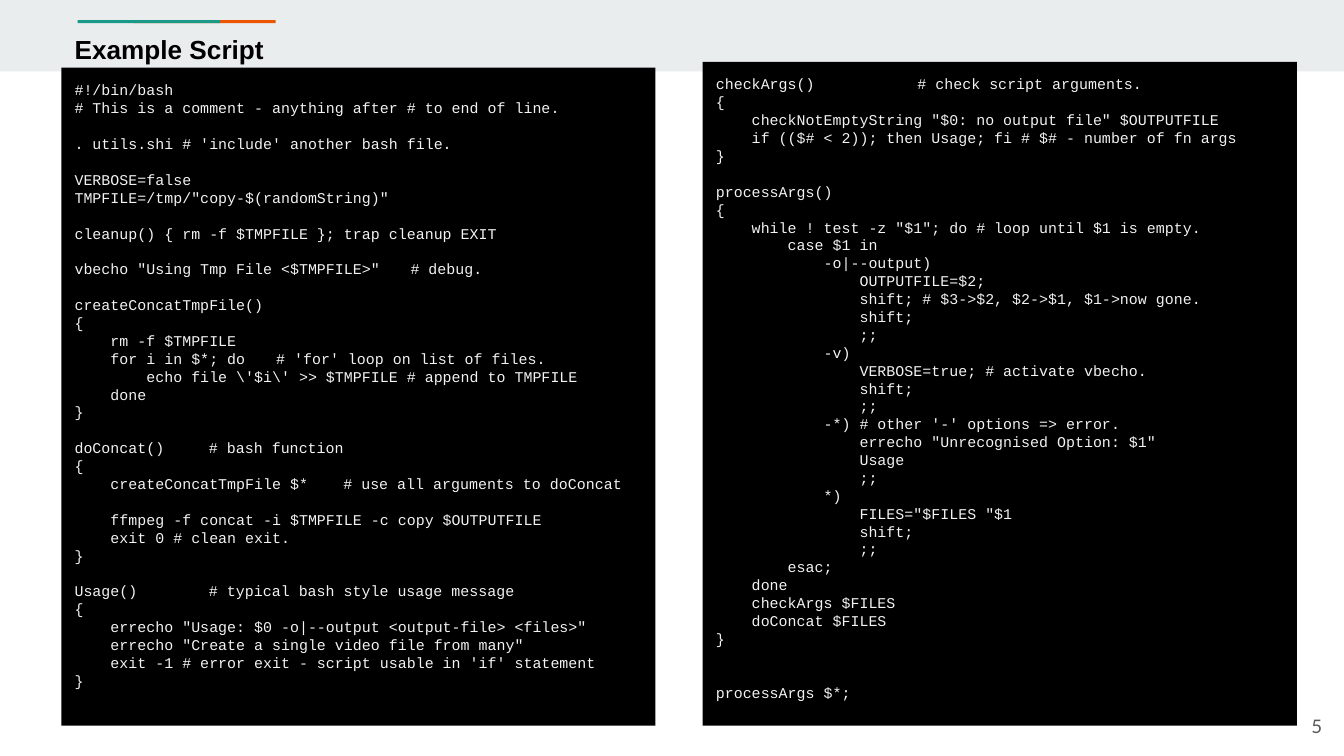
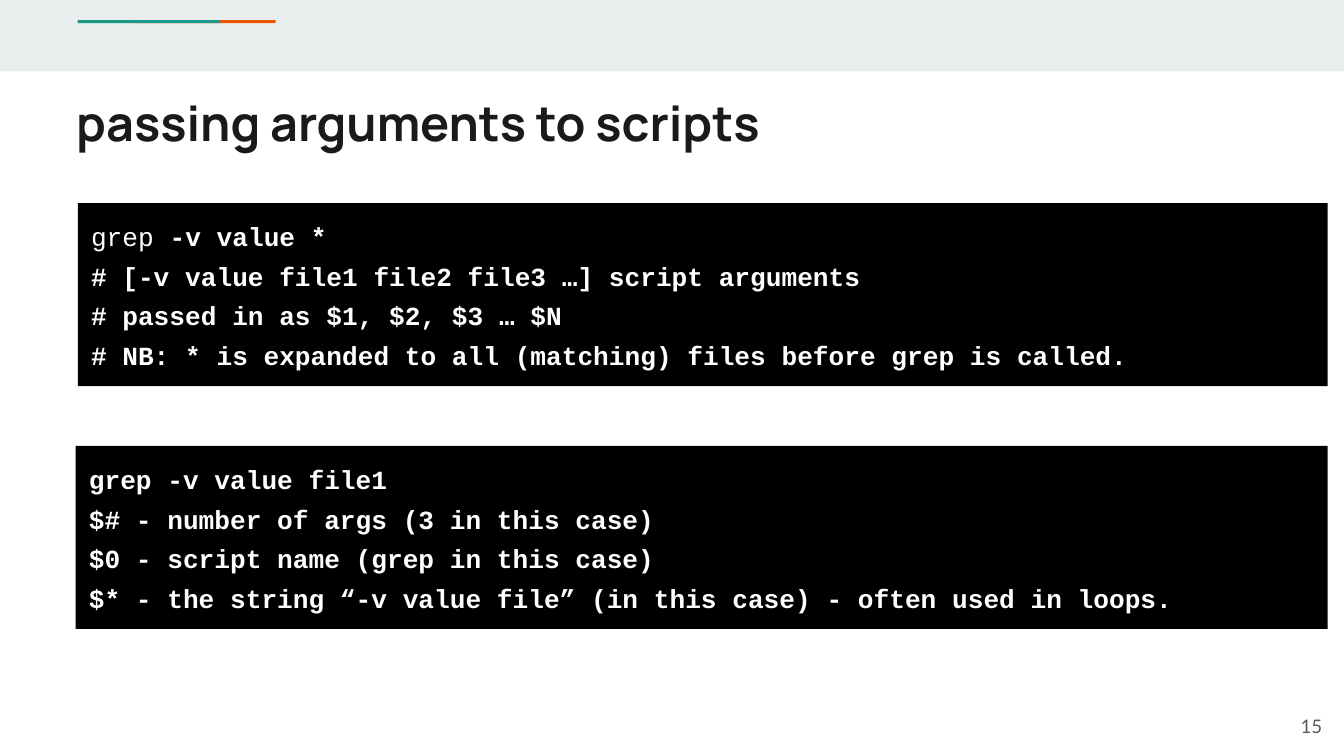
"""Build two slides on shell scripts: an example script and its arguments."""
from lxml import etree
from pptx import Presentation
from pptx.dml.color import RGBColor
from pptx.enum.shapes import MSO_SHAPE
from pptx.enum.text import MSO_ANCHOR, MSO_AUTO_SIZE, PP_ALIGN
from pptx.oxml.ns import qn
from pptx.util import Cm, Pt

RECT = MSO_SHAPE.RECTANGLE
TOP, MIDDLE = MSO_ANCHOR.TOP, MSO_ANCHOR.MIDDLE
LEFT, RIGHT = PP_ALIGN.LEFT, PP_ALIGN.RIGHT
FIXED = MSO_AUTO_SIZE.NONE

BLACK, WHITE, PALE = "000000", "FFFFFF", "F3F3F3"
BAND, TEAL, ORANGE = "E9EDEE", "1A9988", "EB5600"
INK, GREY = "1A1A1A", "595959"
MONO = "Courier New"
INSET = 0.25
CODE_SIZE, CODE_LINE = 8, 9.6

SETUP = [
    """#!/bin/bash
# This is a comment - anything after # to end of line.""",
    ". utils.shi # 'include' another bash file.",
    """VERBOSE=false
TMPFILE=/tmp/"copy-$(randomString)\"""",
    "cleanup() { rm -f $TMPFILE }; trap cleanup EXIT",
    'vbecho "Using Tmp File <$TMPFILE>"\t# debug.',
    """createConcatTmpFile()
{
    rm -f $TMPFILE
    for i in $*; do \t# 'for' loop on list of files.
        echo file \\'$i\\' >> $TMPFILE # append to TMPFILE
    done
}""",
    """doConcat() \t# bash function
{
    createConcatTmpFile $*\t# use all arguments to doConcat""",
    """    ffmpeg -f concat -i $TMPFILE -c copy $OUTPUTFILE
    exit 0 # clean exit.
}""",
    """Usage() \t# typical bash style usage message
{
    errecho "Usage: $0 -o|--output <output-file> <files>"
    errecho "Create a single video file from many"
    exit -1 # error exit - script usable in 'if' statement
}""",
]

PARSER = [
    """checkArgs()\t\t# check script arguments.
{
    checkNotEmptyString "$0: no output file" $OUTPUTFILE
    if (($# < 2)); then Usage; fi # $# - number of fn args
}""",
    """processArgs()
{
    while ! test -z "$1"; do # loop until $1 is empty.
        case $1 in
            -o|--output)
                OUTPUTFILE=$2;
                shift; # $3->$2, $2->$1, $1->now gone.
                shift;
                ;;
            -v)
                VERBOSE=true; # activate vbecho.
                shift;
                ;;
            -*) # other '-' options => error.
                errecho "Unrecognised Option: $1"
                Usage
                ;;
            *)
                FILES="$FILES "$1
                shift;
                ;;
        esac;
    done
    checkArgs $FILES
    doConcat $FILES
}""",
    "processArgs $*;",
]

CALL = [
    [("grep ", False), ("-v value *", True)],
    [("# [-v value file1 file2 file3 …] script arguments", True)],
    [("# passed in as $1, $2, $3 … $N", True)],
    [("# NB: * is expanded to all (matching) files before grep is called.", True)],
]
VARS = [
    [("grep -v value file1", True)],
    [("$# - number of args (3 in this case)", True)],
    [("$0 - script name (grep in this case)", True)],
    [("$* - the string “-v value file” (in this case) - often used in loops.", True)],
]


def color(code):
    return RGBColor.from_string(code)


def paint(shape, code):
    shape.fill.solid()
    shape.fill.fore_color.rgb = color(code)


def place(shape, left, top, width, height):
    shape.left, shape.top = Cm(left), Cm(top)
    shape.width, shape.height = Cm(width), Cm(height)


def add_rect(slide, box, code):
    shape = slide.shapes.add_shape(RECT, *map(Cm, box))
    shape.shadow.inherit = False
    paint(shape, code)
    shape.line.fill.background()
    return shape


def set_frame(shape, anchor=TOP):
    frame = shape.text_frame
    frame.word_wrap = True
    frame.auto_size = FIXED
    frame.vertical_anchor = anchor
    frame.margin_left = frame.margin_right = Cm(INSET)
    frame.margin_top = frame.margin_bottom = Cm(INSET)
    return frame


def add_text(par, text, size, font, ink, bold=False, align=LEFT):
    par.alignment = align
    run = par.add_run()
    run.text = text
    run.font.size, run.font.name = Pt(size), font
    run.font.bold = bold
    run.font.color.rgb = color(ink)


def add_par(frame, first):
    return frame.paragraphs[0] if first else frame.add_paragraph()


def drop_bullet(par):
    props = par._p.get_or_add_pPr()
    props.set("marL", "0")
    props.set("indent", "0")
    etree.SubElement(props, qn("a:buNone"))


def add_code(slide, box, blocks, last_gap=1):
    frame = set_frame(add_rect(slide, box, BLACK))
    for index, block in enumerate(blocks):
        gap = last_gap if index == len(blocks) - 1 else min(index, 1)
        for row, line in enumerate(block.split("\n")):
            par = add_par(frame, index == row == 0)
            par.space_before = Pt(0 if row else CODE_LINE * gap)
            add_text(par, line, CODE_SIZE, MONO, PALE)


def fill_body(body, box, lines):
    place(body, *box)
    paint(body, BLACK)
    frame = set_frame(body)
    for row, parts in enumerate(lines):
        par = add_par(frame, row == 0)
        par.line_spacing = 1.14
        par.space_before = Pt(2 if row else 0)
        par.space_after = Pt(2 if row == len(lines) - 1 else 0)
        drop_bullet(par)
        for text, bold in parts:
            add_text(par, text, 14, MONO, WHITE, bold=bold)


def set_title(slide, box, text, **style):
    title = slide.shapes.title
    place(title, *box)
    add_text(set_frame(title).paragraphs[0], text, bold=True, **style)


def add_number(slide, number):
    box = slide.shapes.add_textbox(*map(Cm, (23.72, 13.18, 1.52, 1.09)))
    par = set_frame(box, MIDDLE).paragraphs[0]
    add_text(par, number, 10, "Lato", GREY, align=RIGHT)


def dress_master(prs, slide):
    parts = [
        ((0, 0, 25.4, 1.35), BAND),
        ((2.52, 0.38, 2.69, 0.06), ORANGE),
        ((1.47, 0.38, 2.69, 0.06), TEAL),
    ]
    tree = prs.slide_master.shapes.element
    for index, (box, code) in enumerate(parts):
        shape = add_rect(slide, box, code)
        shape.element.nvSpPr.cNvPr.id = 100 + index
        tree.insert(2 + index, shape.element)


def main():
    prs = Presentation()
    prs.slide_width, prs.slide_height = Cm(25.4), Cm(14.29)

    script = prs.slides.add_slide(prs.slide_layouts[5])
    dress_master(prs, script)
    add_code(script, (13.28, 1.17, 11.23, 12.55), PARSER, last_gap=2)
    add_code(script, (1.16, 1.28, 11.23, 12.44), SETUP)
    set_title(script, (1.16, 0.38, 28.63, 2.39), "Example Script",
              size=14, font="Arial", ink=BLACK)
    script.shapes.element.append(script.shapes.title.element)
    add_number(script, "5")

    passing = prs.slides.add_slide(prs.slide_layouts[3])
    set_title(passing, (1.19, 1.5, 21.36, 1.98), "passing arguments to scripts",
              size=26, font="Manrope", ink=INK)
    fill_body(passing.placeholders[1], (1.47, 3.84, 23.62, 3.46), CALL)
    fill_body(passing.placeholders[2], (1.43, 8.43, 23.66, 3.46), VARS)
    add_number(passing, "15")

    prs.save("out.pptx")


if __name__ == "__main__":
    main()
